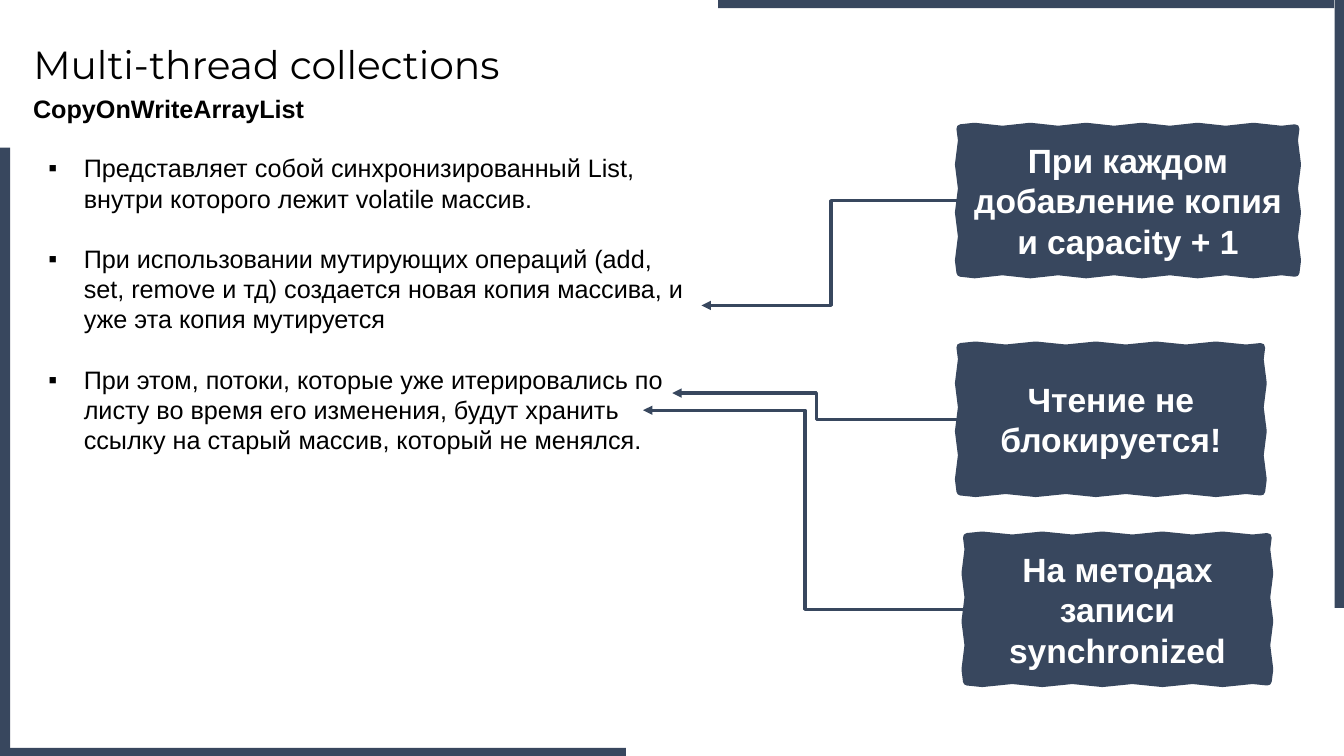
from dataclasses import dataclass

from lxml.etree import SubElement
from pptx import Presentation
from pptx.dml.color import RGBColor
from pptx.enum.shapes import MSO_CONNECTOR as Connector, MSO_SHAPE as Preset
from pptx.enum.text import MSO_ANCHOR as Anchor, PP_ALIGN as Align
from pptx.oxml.ns import qn
from pptx.util import Inches, Length, Pt

COLORS = {"navy": "38475E", "black": "000000", "white": "FFFFFF"}
SLIDE_WIDTH, SLIDE_HEIGHT = Inches(13.333), Inches(7.5)
COLUMNS, ROWS = 133.33, 75
WAVE_HEIGHT = 0.15


@dataclass
class Area:
    """A rectangle in grid columns and rows."""
    left: float
    top: float
    width: float
    height: float


@dataclass
class TornNote:
    text: str
    area: Area
    waves: int
    arrow_tip: tuple[float, float]


BARS = [
    Area(-0.6, 14.65, 1.6, 61.1),
    Area(1, 74.2, 61.1, 1.6),
    Area(132.4, -0.8, 1.6, 61.1),
    Area(71.25, -0.8, 61.1, 1.6),
]
BULLETS = [
    "Представляет собой синхронизированный List, внутри которого лежит volatile массив.",
    "При использовании мутирующих операций (add, set, remove и тд) создается новая "
    "копия массива, и уже эта копия мутируется",
    "При этом, потоки, которые уже итерировались по листу во время его изменения, "
    "будут хранить ссылку на старый массив, который не менялся.",
]
NOTES = [
    TornNote("Чтение не блокируется!", Area(95.3, 34.45, 29.8, 14.3), 5, (66.7, 39)),
    TornNote("На методах записи synchronized", Area(95.95, 53.3, 29.8, 14.3), 5, (63.8, 40.7)),
    TornNote("При каждом добавление копия и capacity + 1", Area(95.3, 12.75, 33.2, 14.3), 6,
             (69.6, 30.3)),
]


def column(count: float) -> Length:
    return Length(round(SLIDE_WIDTH * count / COLUMNS))


def row(count: float) -> Length:
    return Length(round(SLIDE_HEIGHT * count / ROWS))


def place(shape, area: Area) -> None:
    shape.left, shape.top = column(area.left), row(area.top)
    shape.width, shape.height = column(area.width), row(area.height)


def rgb(name: str) -> RGBColor:
    return RGBColor.from_string(COLORS[name])


def add_run(paragraph, text: str, size: float, color: str = "black",
            font_name: str = "Arial", bold: bool = False) -> None:
    run = paragraph.add_run()
    run.text = text
    run.font.name, run.font.size, run.font.bold = font_name, Pt(size), bold
    run.font.color.rgb = rgb(color)


def add_text_frame(slide, area: Area):
    box = slide.shapes.add_textbox(0, 0, 0, 0)
    place(box, area)
    box.text_frame.word_wrap = True
    return box.text_frame


def add_bar(slide, area: Area) -> None:
    bar = slide.shapes.add_shape(Preset.RECTANGLE, 0, 0, 0, 0)
    place(bar, area)
    bar.shadow.inherit = False
    bar.fill.solid()
    bar.fill.fore_color.rgb = rgb("navy")
    bar.line.fill.background()


def make_bullet(paragraph) -> None:
    properties = paragraph._p.get_or_add_pPr()
    properties.set("marL", str(Inches(0.5)))
    properties.set("indent", str(Inches(-0.35)))
    color = SubElement(properties, qn("a:buClr"))
    SubElement(color, qn("a:srgbClr"), val=COLORS["black"])
    SubElement(properties, qn("a:buFont"), typeface="Arial")
    SubElement(properties, qn("a:buChar"), char="▪")


def torn_outline(area: Area, waves: int) -> list[tuple[Length, Length]]:
    """Walk clockwise round the area, with a crest and a trough for each wave."""
    right, bottom = area.left + area.width, area.top + area.height
    corners = [(area.left, area.top), (right, area.top), (right, bottom), (area.left, bottom)]
    points = []
    for side, (x, y) in enumerate(corners):
        points.append((column(x), row(y)))
        next_x, next_y = corners[(side + 1) % 4]
        horizontal = side % 2 == 0
        turns = 2 * (waves if horizontal else 3)
        for turn in range(turns):
            share = (turn + 0.5) / turns
            sway = WAVE_HEIGHT if turn % 2 else -WAVE_HEIGHT
            points.append((column(x + (next_x - x) * share + (0 if horizontal else sway)),
                           row(y + (next_y - y) * share + (sway if horizontal else 0))))
    return points


def add_note(slide, note: TornNote) -> None:
    start, *others = torn_outline(note.area, note.waves)
    builder = slide.shapes.build_freeform(*start)
    builder.add_line_segments(others, close=True)
    shape = builder.convert_to_shape()
    shape.shadow.inherit = False
    shape.fill.solid()
    shape.fill.fore_color.rgb = rgb("navy")
    shape.line.color.rgb = rgb("navy")
    shape.line.width = Pt(6)
    frame = shape.text_frame
    frame.word_wrap, frame.vertical_anchor = True, Anchor.MIDDLE
    paragraph = frame.paragraphs[0]
    paragraph.alignment = Align.CENTER
    add_run(paragraph, note.text, 24, "white", bold=True)


def add_arrow(slide, note: TornNote) -> None:
    tip_x, tip_y = note.arrow_tip
    middle = note.area.top + note.area.height / 2
    arrow = slide.shapes.add_connector(Connector.ELBOW, column(note.area.left), row(middle),
                                       column(tip_x), row(tip_y))
    arrow.line.color.rgb = rgb("navy")
    arrow.line.width = Pt(2.25)
    SubElement(arrow.line._get_or_add_ln(), qn("a:tailEnd"), type="triangle")
    SubElement(arrow._element.spPr, qn("a:effectLst"))


def main() -> None:
    presentation = Presentation()
    presentation.slide_width, presentation.slide_height = SLIDE_WIDTH, SLIDE_HEIGHT
    slide = presentation.slides.add_slide(presentation.slide_layouts[5])
    for bar in BARS:
        add_bar(slide, bar)

    title = slide.shapes.title
    place(title, Area(2.3, 3.5, 58.4, 5.7))
    title.text_frame.vertical_anchor = Anchor.TOP
    heading = title.text_frame.paragraphs[0]
    heading.alignment = Align.LEFT
    add_run(heading, "Multi-thread collections", 28, font_name="Montserrat")

    subtitle = add_text_frame(slide, Area(2.3, 8.75, 64.4, 4))
    add_run(subtitle.paragraphs[0], "CopyOnWriteArrayList", 18, bold=True)

    body = add_text_frame(slide, Area(2.33, 14.65, 67.3, 31.3))
    for index, text in enumerate(BULLETS):
        paragraph = body.add_paragraph() if index else body.paragraphs[0]
        make_bullet(paragraph)
        if index:
            paragraph.space_before = Pt(21.6)
        add_run(paragraph, text, 18)

    for note in NOTES:
        add_note(slide, note)
        add_arrow(slide, note)
    presentation.save("out.pptx")


if __name__ == "__main__":
    main()
